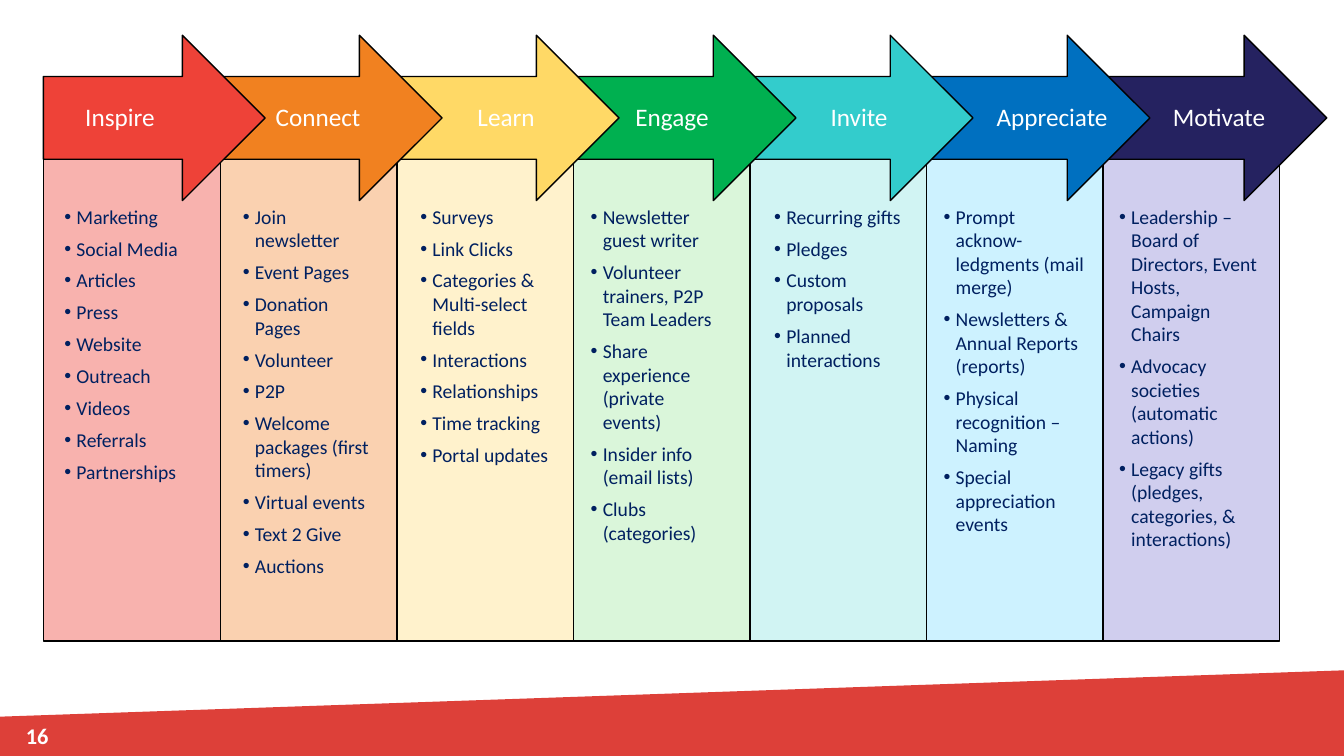
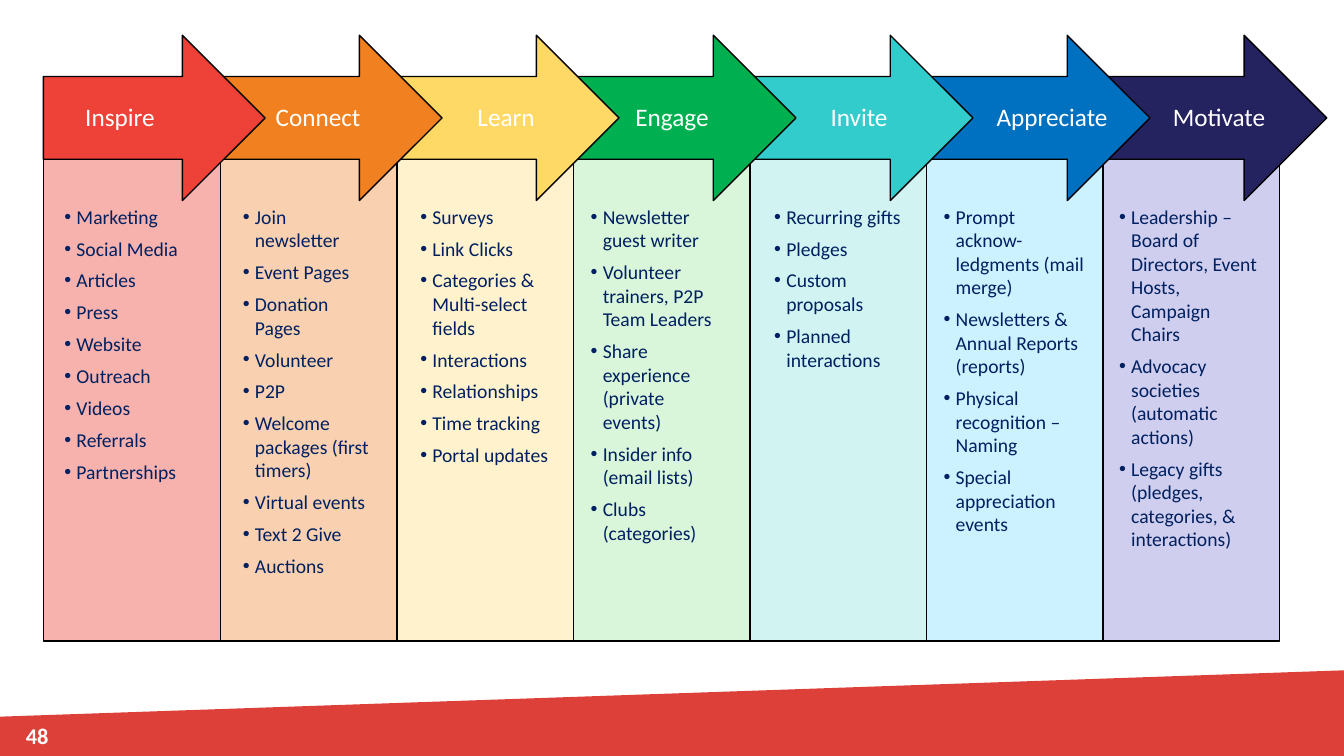
from collections import namedtuple

from lxml.etree import SubElement
from pptx import Presentation
from pptx.dml.color import RGBColor
from pptx.enum.shapes import MSO_SHAPE
from pptx.enum.text import MSO_ANCHOR, MSO_AUTO_SIZE, PP_ALIGN
from pptx.oxml.ns import qn
from pptx.util import Inches, Pt

FONT = "Calibri"
WHITE, BLACK, NAVY, RED = "FFFFFF", "000000", "002060", "DD4039"
SLIDE_WIDTH, SLIDE_HEIGHT = 13.33, 7.5
COLUMN_STEP, COLUMN_WIDTH, COLUMN_HEIGHT = 1.75, 1.76, 4.79
ARROW_STEP, ARROW_WIDTH, ARROW_HEIGHT = 1.755, 2.2, 1.64
COLUMN_DROP, LABEL_DROP, LIST_DROP = 1.22, 0.61, 1.63
LABEL_HEIGHT, LIST_HEIGHT = 0.4, 3.5
INDENT = 0.12

Stage = namedtuple("Stage", "name arrow_fill column_fill label_inset label_width list_inset list_width items")

STAGES = [
    Stage("Inspire", "EE4238", "F8B2AE", 0.11, 1.3, 0.11, 1.48, [
        "Marketing", "Social Media", "Articles", "Press", "Website",
        "Outreach", "Videos", "Referrals", "Partnerships"]),
    Stage("Connect", "F18120", "FAD1B0", 0.32, 1.3, 0.13, 1.48, [
        "Join newsletter", "Event Pages", "Donation Pages", "Volunteer", "P2P",
        "Welcome packages (first timers)", "Virtual events", "Text 2 Give", "Auctions"]),
    Stage("Learn", "FFD966", "FFF2CC", 0.43, 1.3, 0.14, 1.55, [
        "Surveys", "Link Clicks", "Categories & Multi-select fields", "Interactions",
        "Relationships", "Time tracking", "Portal updates"]),
    Stage("Engage", "00B050", "DAF6DA", 0.32, 1.3, 0.08, 1.48, [
        "Newsletter guest writer", "Volunteer trainers, P2P Team Leaders",
        "Share experience (private events)", "Insider info (email lists)",
        "Clubs (categories)"]),
    Stage("Invite", "33CCCC", "D1F4F3", 0.42, 1.3, 0.15, 1.48, [
        "Recurring gifts", "Pledges", "Custom proposals", "Planned interactions"]),
    Stage("Appreciate", "0070C0", "CDF2FF", 0.3, 1.86, 0.08, 1.61, [
        "Prompt acknow-ledgments (mail merge)", "Newsletters & Annual Reports (reports)",
        "Physical recognition –Naming", "Special appreciation events"]),
    Stage("Motivate", "252260", "D0CEEE", 0.48, 1.3, 0.07, 1.61, [
        "Leadership – Board of Directors, Event Hosts, Campaign Chairs",
        "Advocacy societies (automatic actions)",
        "Legacy gifts (pledges, categories, & interactions)"]),
]


def color(value):
    return RGBColor.from_string(value)


def paint(shape, fill, line=None):
    shape.shadow.inherit = False
    shape.fill.solid()
    shape.fill.fore_color.rgb = color(fill)
    if line:
        shape.line.color.rgb = color(line)
        shape.line.width = Pt(1)
    else:
        shape.line.fill.background()


def add_block(page, kind, left, top, width, height, fill):
    shape = page.shapes.add_shape(kind, Inches(left), Inches(top), Inches(width), Inches(height))
    paint(shape, fill, BLACK)


def add_bullet(para):
    properties = para._p.get_or_add_pPr()
    properties.set("marL", str(Inches(INDENT)))
    properties.set("indent", str(-Inches(INDENT)))
    SubElement(properties, qn("a:buFont")).set("typeface", "Arial")
    SubElement(properties, qn("a:buChar")).set("char", "•")


def add_text(page, lines, left, top, width, height, size=18, fill=WHITE, bold=False,
             align=PP_ALIGN.LEFT, anchor=MSO_ANCHOR.TOP, bullets=False, space_after=0, grow=True):
    box = page.shapes.add_textbox(Inches(left), Inches(top), Inches(width), Inches(height))
    frame = box.text_frame
    frame.word_wrap = True
    frame.vertical_anchor = anchor
    frame.auto_size = MSO_AUTO_SIZE.SHAPE_TO_FIT_TEXT if grow else MSO_AUTO_SIZE.NONE
    for index, line in enumerate(lines):
        para = frame.add_paragraph() if index else frame.paragraphs[0]
        if bullets:
            add_bullet(para)
        para.alignment = align
        para.space_after = Pt(space_after)
        span = para.add_run()
        span.text = line
        span.font.name = FONT
        span.font.size = Pt(size)
        span.font.bold = bold
        span.font.color.rgb = color(fill)


def add_footer(page, number, left=0, top=6.65):
    right, bottom = left + SLIDE_WIDTH, SLIDE_HEIGHT
    builder = page.shapes.build_freeform(Inches(left), Inches(top + 0.46))
    corners = [(right, top), (right, bottom), (left, bottom)]
    builder.add_line_segments([(Inches(x), Inches(y)) for x, y in corners], close=True)
    paint(builder.convert_to_shape(), RED)
    add_text(page, [str(number)], left, top + 0.45, 0.58, 0.4, size=16, bold=True,
             align=PP_ALIGN.RIGHT, anchor=MSO_ANCHOR.MIDDLE, grow=False)


def add_journey(page, left, top):
    ordered = list(enumerate(STAGES))
    for index, stage in reversed(ordered):
        add_block(page, MSO_SHAPE.RECTANGLE, left + index * COLUMN_STEP, top + COLUMN_DROP,
                  COLUMN_WIDTH, COLUMN_HEIGHT, stage.column_fill)
    for index, stage in reversed(ordered):
        add_block(page, MSO_SHAPE.RIGHT_ARROW, left + index * ARROW_STEP, top,
                  ARROW_WIDTH, ARROW_HEIGHT, stage.arrow_fill)
    for index, stage in ordered:
        add_text(page, [stage.name], left + index * ARROW_STEP + stage.label_inset,
                 top + LABEL_DROP, stage.label_width, LABEL_HEIGHT, align=PP_ALIGN.CENTER)
        add_text(page, stage.items, left + index * COLUMN_STEP + stage.list_inset,
                 top + LIST_DROP, stage.list_width, LIST_HEIGHT, size=14, fill=NAVY,
                 bullets=True, space_after=6)


def add_journey_page(deck, number):
    page = deck.slides.add_slide(deck.slide_layouts[6])
    add_footer(page, number)
    add_journey(page, 0.43, 0.35)


def main():
    deck = Presentation()
    deck.slide_width, deck.slide_height = Inches(SLIDE_WIDTH), Inches(SLIDE_HEIGHT)
    for number in (16, 48):
        add_journey_page(deck, number)
    deck.save("out.pptx")


if __name__ == "__main__":
    main()
